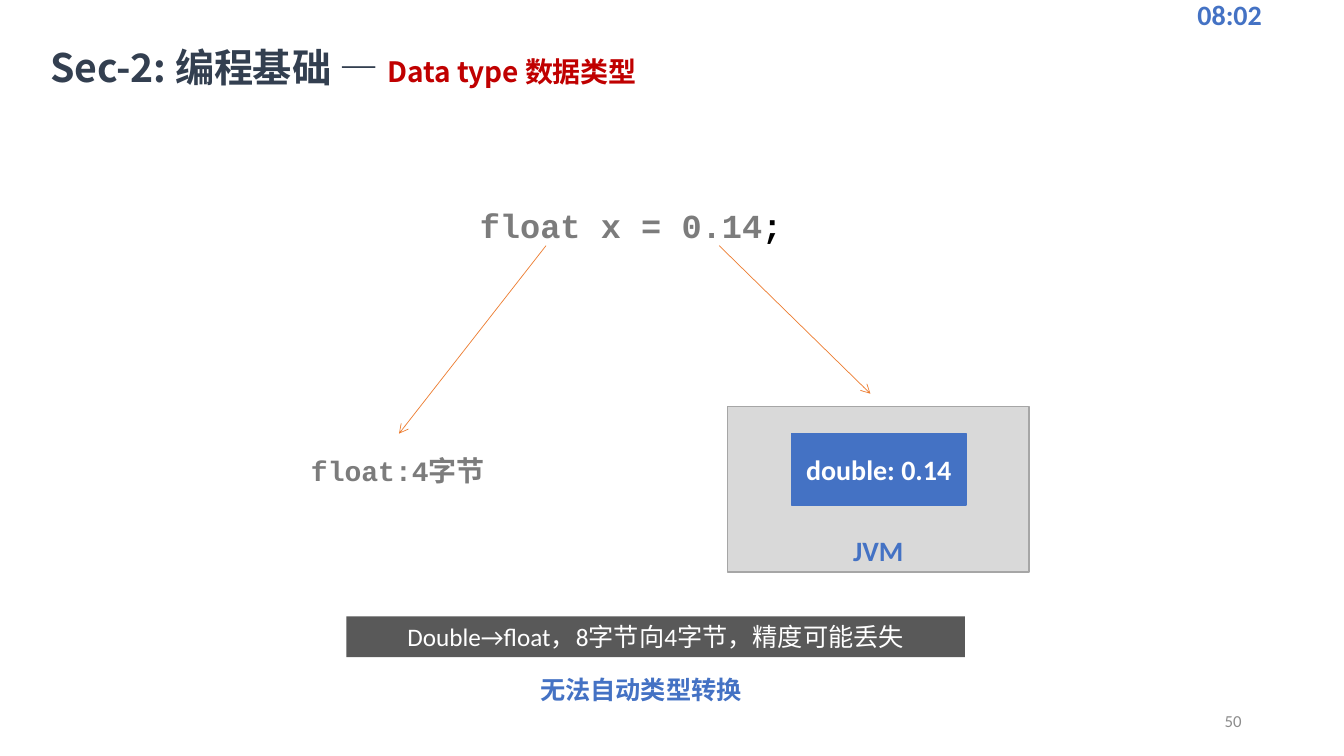
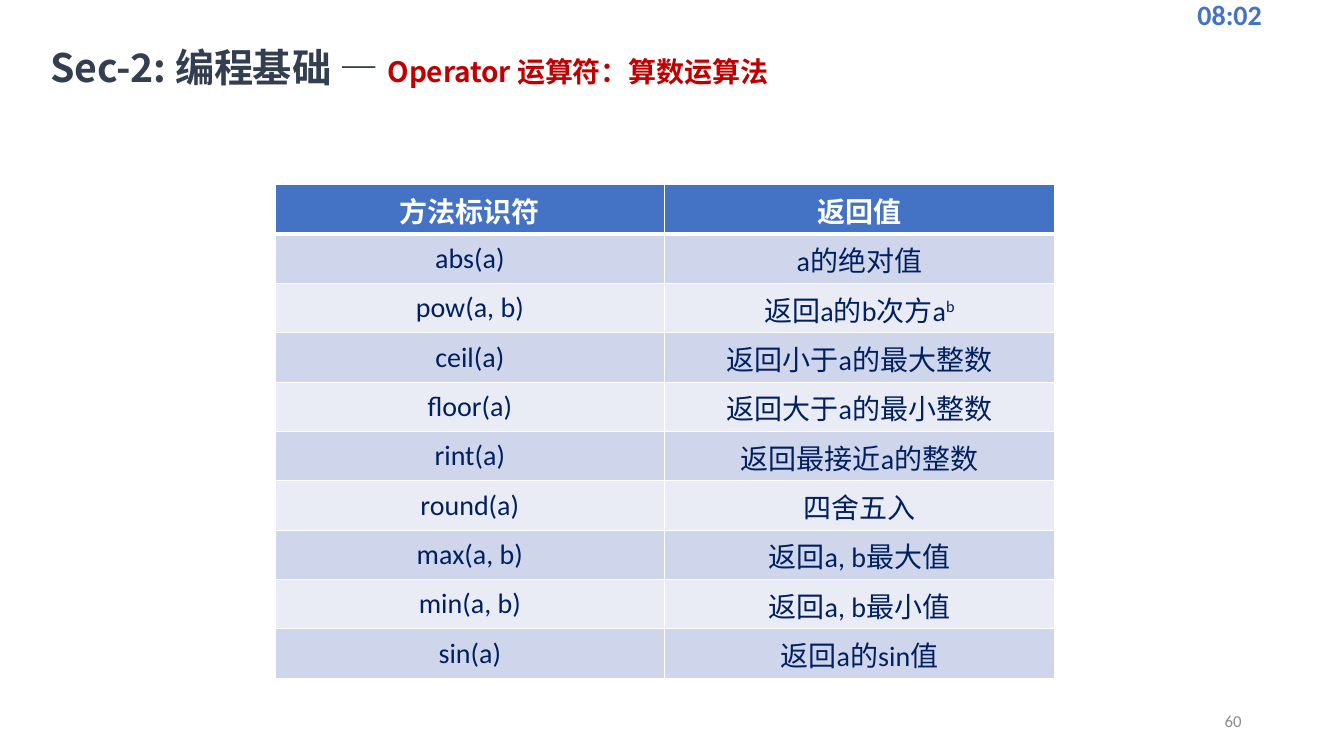
import collections

import lxml.etree
import pptx
import pptx.dml.color
import pptx.enum.shapes
import pptx.enum.text
import pptx.oxml.ns
import pptx.util

qn = pptx.oxml.ns.qn
ALIGN = pptx.enum.text.PP_ALIGN
ANCHOR = pptx.enum.text.MSO_ANCHOR
EMU_PER_PX = 9525

COLORS = {
    "blue": "4472C4",
    "navy": "002060",
    "slate": "333F50",
    "red": "C00000",
    "orange": "ED7D31",
    "code_gray": "7C7C7C",
    "number_gray": "8C8C8C",
    "dark_gray": "595959",
    "mid_gray": "A6A6A6",
    "light_gray": "D9D9D9",
    "band_dark": "CFD5EA",
    "band_light": "E9EBF5",
    "white": "FFFFFF",
    "black": "000000",
}
LATIN, CODE, CHINESE = "Calibri", "Courier New", "Noto Sans CJK SC"

TextStyle = collections.namedtuple("TextStyle", "font size color bold attributes", defaults=(False, {}))
STYLES = {
    "section": TextStyle(CHINESE, 28, "slate", True, {"spc": "-10"}),
    "topic": TextStyle(CHINESE, 20, "red", True, {"spc": "-10"}),
    "number": TextStyle(LATIN, 12, "number_gray"),
    "label": TextStyle(LATIN, 20, "blue", True),
    "label_white": TextStyle(LATIN, 20, "white", True),
    "code": TextStyle(CODE, 24, "code_gray", True),
    "code_end": TextStyle(CODE, 24, "black", True),
    "code_note": TextStyle(CODE, 20, "code_gray", True),
    "conclusion": TextStyle(CHINESE, 18, "blue", True),
    "banner": TextStyle(LATIN, 18, "white"),
    "table_head": TextStyle(CHINESE, 20, "white", True),
    "table_body": TextStyle(LATIN, 20, "navy"),
    "superscript": TextStyle(LATIN, 20, "navy", False, {"baseline": "30000"}),
}


def px(length):
    return pptx.util.Emu(length * EMU_PER_PX)


def color(name):
    return pptx.dml.color.RGBColor.from_string(COLORS[name])


class Deck:
    def __init__(self):
        self.presentation = pptx.Presentation()
        self.presentation.slide_width = px(1280)
        self.presentation.slide_height = px(720)
        self.layout = self.presentation.slide_layouts[5]
        self.slide = None

    def start_slide(self, topic, number):
        first = self.slide is None
        self.slide = self.presentation.slides.add_slide(self.layout)
        if first:
            clock = self.text((1131, 0, 140, 28), [("08:02", "label")], ALIGN.LEFT, ANCHOR.MIDDLE)
            self.layout.shapes.element.append(clock.element)
        self.title(topic)
        self.text((904, 667, 288, 38), [(number, "number")], ALIGN.RIGHT, ANCHOR.MIDDLE)

    def fill_text(self, frame, runs, align=ALIGN.CENTER, anchor=ANCHOR.TOP):
        frame.word_wrap = True
        frame.vertical_anchor = anchor
        paragraph = frame.paragraphs[0]
        paragraph.alignment = align
        for text, style_name in runs:
            style = STYLES[style_name]
            run = paragraph.add_run()
            run.text = text
            run.font.size = pptx.util.Pt(style.size)
            run.font.bold = style.bold
            run.font.color.rgb = color(style.color)
            run.font.name = style.font
            properties = run._r.get_or_add_rPr()
            lxml.etree.SubElement(properties, qn("a:ea"), typeface=CHINESE)
            for key, value in style.attributes.items():
                properties.set(key, value)
        return paragraph

    def title(self, topic):
        title = self.slide.shapes.title
        title.left, title.top, title.width, title.height = map(px, (48, 40, 735, 46))
        frame = title.text_frame
        frame.auto_size = pptx.enum.text.MSO_AUTO_SIZE.NONE
        frame.margin_left = frame.margin_right = frame.margin_bottom = 0
        frame.margin_top = px(1)
        runs = [("Sec-2: 编程基础 — ", "section"), (topic, "topic")]
        self.fill_text(frame, runs, ALIGN.LEFT).space_before = pptx.util.Pt(0.9)

    def text(self, box, runs, align=ALIGN.CENTER, anchor=ANCHOR.TOP, spacing=None):
        shape = self.slide.shapes.add_textbox(*map(px, box))
        self.fill_text(shape.text_frame, runs, align, anchor).line_spacing = spacing
        return shape

    def rectangle(self, box, fill, line=None, runs=()):
        kind = pptx.enum.shapes.MSO_SHAPE.RECTANGLE
        shape = self.slide.shapes.add_shape(kind, *map(px, box))
        shape.shadow.inherit = False
        shape.fill.solid()
        shape.fill.fore_color.rgb = color(fill)
        if line:
            shape.line.color.rgb = color(line)
            shape.line.width = pptx.util.Pt(1)
        else:
            shape.line.fill.background()
        self.fill_text(shape.text_frame, runs, anchor=ANCHOR.MIDDLE)
        return shape

    def arrow(self, start, end):
        kind = pptx.enum.shapes.MSO_CONNECTOR.STRAIGHT
        connector = self.slide.shapes.add_connector(kind, *map(px, start + end))
        connector.line.color.rgb = color("orange")
        connector.line.width = pptx.util.Pt(0.5)
        properties = connector.element.spPr
        lxml.etree.SubElement(properties.find(qn("a:ln")), qn("a:tailEnd"), type="arrow")
        lxml.etree.SubElement(properties, qn("a:effectLst"))

    def cell_borders(self, cell, top, bottom):
        properties = cell._tc.get_or_add_tcPr()
        for side, points in (("L", 1), ("R", 1), ("T", top), ("B", bottom)):
            width = str(pptx.util.Pt(points))
            line = lxml.etree.SubElement(properties, qn("a:ln" + side), w=width)
            fill = lxml.etree.SubElement(line, qn("a:solidFill"))
            lxml.etree.SubElement(fill, qn("a:srgbClr"), val=COLORS["white"])

    def table(self, left, top, column_width, row_height, rows):
        columns = len(rows[0])
        box = (left, top, column_width * columns, row_height * len(rows))
        table = self.slide.shapes.add_table(len(rows), columns, *map(px, box)).table
        for row_index, row in enumerate(rows):
            fill = "band_dark" if row_index % 2 else "band_light"
            if row_index == 0:
                fill = "blue"
            for column_index, runs in enumerate(row):
                cell = table.cell(row_index, column_index)
                self.cell_borders(cell, 3 if row_index == 1 else 1, 3 if row_index == 0 else 1)
                cell.fill.solid()
                cell.fill.fore_color.rgb = color(fill)
                cell.vertical_anchor = ANCHOR.MIDDLE
                self.fill_text(cell.text_frame, runs, anchor=ANCHOR.MIDDLE)


def build_data_type(deck):
    deck.start_slide("Data type 数据类型", "50")
    statement = [("float x = 0.14", "code"), (";", "code_end")]
    deck.text((246, 171, 710, 63), statement, spacing=1.5)
    deck.arrow((685, 234), (829, 375))
    machine = deck.rectangle((693, 387, 287, 158), "light_gray", "mid_gray")
    name = deck.text((738, 503, 197, 42), [("JVM", "label")])
    value = deck.rectangle((754, 413, 166, 68), "blue", "blue", [("double: 0.14", "label_white")])
    deck.slide.shapes.add_group_shape([machine, name, value])
    deck.text((286, 427, 186, 42), [("float:4字节", "code_note")])
    deck.arrow((520, 234), (380, 413))
    deck.text((505, 637, 340, 38), [("无法自动类型转换", "conclusion")], ALIGN.LEFT)
    warning = [("Double→float，8字节向4字节，精度可能丢失", "banner")]
    deck.rectangle((330, 587, 589, 39), "dark_gray", runs=warning)


def build_operators(deck):
    deck.start_slide("Operator 运算符：算数运算法", "60")
    methods = [
        ("abs(a)", "a的绝对值"),
        ("pow(a, b)", "返回a的b次方a", "b"),
        ("ceil(a)", "返回小于a的最大整数"),
        ("floor(a)", "返回大于a的最小整数"),
        ("rint(a)", "返回最接近a的整数"),
        ("round(a)", "四舍五入"),
        ("max(a, b)", "返回a, b最大值"),
        ("min(a, b)", "返回a, b最小值"),
        ("sin(a)", "返回a的sin值"),
    ]
    rows = [[[(heading, "table_head")] for heading in ("方法标识符", "返回值")]]
    for method, result, *exponents in methods:
        result_runs = [(result, "table_body")]
        result_runs += [(exponent, "superscript") for exponent in exponents]
        rows.append([[(method, "table_body")], result_runs])
    deck.table(262, 176, 371, 47, rows)


def main():
    deck = Deck()
    build_data_type(deck)
    build_operators(deck)
    deck.presentation.save("out.pptx")


if __name__ == "__main__":
    main()
